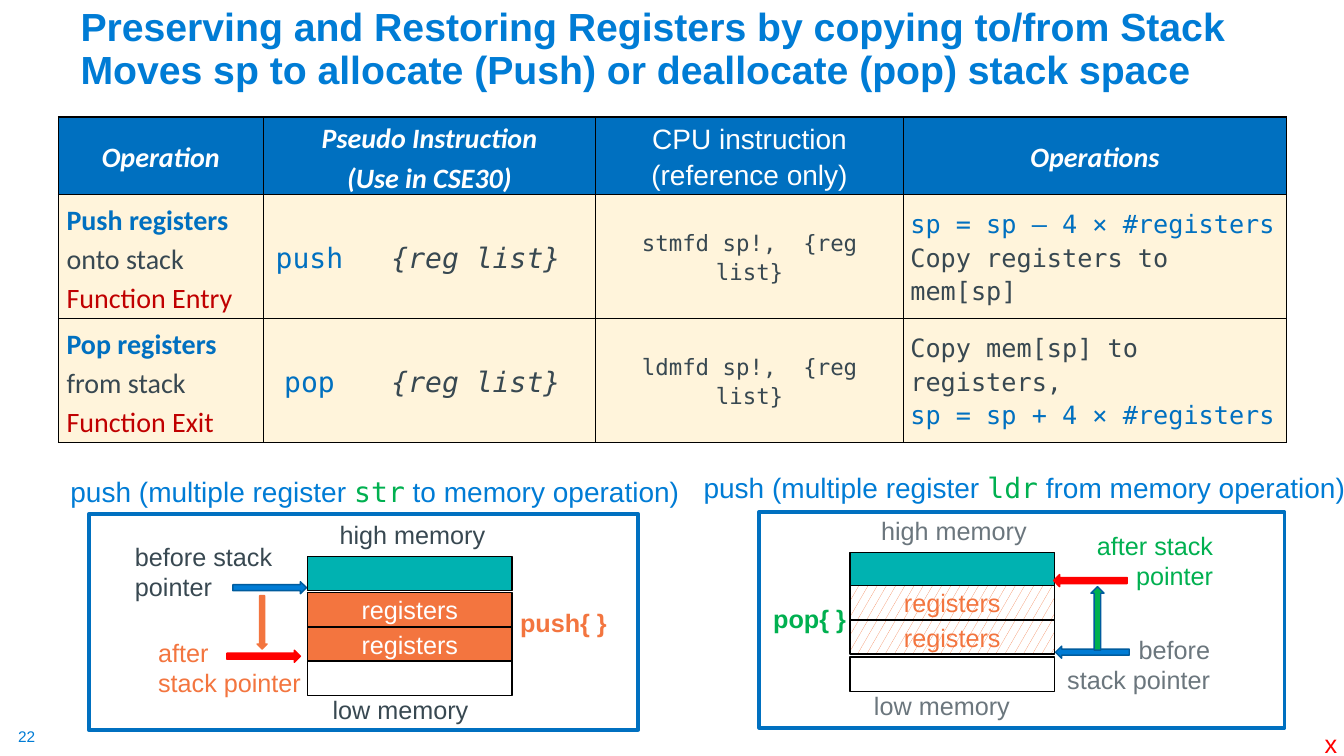
from lxml import etree
from pptx import Presentation
from pptx.dml.color import RGBColor
from pptx.enum.dml import MSO_PATTERN
from pptx.enum.shapes import MSO_SHAPE as SHAPE
from pptx.enum.text import MSO_ANCHOR as ANCHOR, PP_ALIGN as ALIGN
from pptx.oxml.ns import qn
from pptx.util import Inches, Pt

BLUE = RGBColor(0x00, 0x7C, 0xD5)
EDGE_BLUE = RGBColor(0x00, 0x5C, 0x9E)
TABLE_BLUE = RGBColor(0x00, 0x70, 0xC0)
TEAL = RGBColor(0x00, 0xB2, 0xB1)
ORANGE = RGBColor(0xF3, 0x75, 0x3F)
GREEN = RGBColor(0x00, 0xB0, 0x50)
RED = RGBColor(0xFF, 0x00, 0x00)
DARK_RED = RGBColor(0xC0, 0x00, 0x00)
SLATE = RGBColor(0x38, 0x48, 0x51)
GRAY = RGBColor(0x6B, 0x76, 0x7D)
CREAM = RGBColor(0xFF, 0xF4, 0xDB)
WHITE = RGBColor(0xFF, 0xFF, 0xFF)
BLACK = RGBColor(0x00, 0x00, 0x00)
MONO = "DejaVu Sans Mono"

prs = Presentation()
prs.slide_width, prs.slide_height = Inches(13.33), Inches(7.5)
slide = prs.slides.add_slide(prs.slide_layouts[6])


def write(frame, paragraphs, align=ALIGN.LEFT, spacing=None):
    """Fill a frame; a run is (text, size, colour, font, style), style holding b and/or i."""
    for index, runs in enumerate(paragraphs):
        paragraph = frame.paragraphs[0] if index == 0 else frame.add_paragraph()
        paragraph.alignment = align
        if spacing:
            paragraph.line_spacing = spacing
        for text, size, color, font, style in runs:
            for number, line in enumerate(text.split("\n")):
                if number:
                    paragraph.add_line_break()
                if not line:
                    continue
                run = paragraph.add_run()
                run.text = line
                run.font.size, run.font.name = Pt(size), font
                run.font.color.rgb = color
                run.font.bold, run.font.italic = "b" in style, "i" in style


def add_block(kind, box, fill, edge, width=1):
    block = slide.shapes.add_shape(kind, *map(Inches, box))
    block.shadow.inherit = False
    if fill is None:
        block.fill.background()
    else:
        block.fill.solid()
        block.fill.fore_color.rgb = fill
    block.line.color.rgb, block.line.width = edge, Pt(width)
    return block


# Title and page marks
title = slide.shapes.add_textbox(*map(Inches, (0.7, 0.46, 12.51, 0.51))).text_frame
title.word_wrap, title.vertical_anchor = True, ANCHOR.BOTTOM
write(title, [[("Preserving and Restoring Registers by copying to/from Stack \n"
                "Moves sp to allocate (Push) or deallocate (pop) stack space",
                28, BLUE, "Arial", "b")]], spacing=0.9)
page = slide.shapes.add_textbox(*map(Inches, (0.18, 7.21, 0.19, 0.19))).text_frame
page.margin_left = page.margin_right = page.margin_top = page.margin_bottom = 0
write(page, [[("22", 11, BLUE, "Arial", "")]])

# Instruction table
header = [
    [[("Operation", 20, WHITE, "Calibri", "bi")]],
    [[("Pseudo Instruction", 20, WHITE, "Calibri", "bi")],
     [("(Use in CSE30)", 20, WHITE, "Calibri", "bi")]],
    [],
    [[("CPU instruction", 20, WHITE, "Arial", "")],
     [("(reference only)", 20, WHITE, "Arial", "")]],
    [[("Operations", 20, WHITE, "Calibri", "bi")]],
]
table_rows = [header]
for name, place, role, pseudo, machine, effect in [
    ("Push registers ", "onto stack", "Function Entry", "push", "stmfd",
     [("sp = sp – 4 × #registers\n", TABLE_BLUE), ("Copy registers to mem[sp]", SLATE)]),
    ("Pop registers ", "from stack", "Function Exit", "pop", "ldmfd",
     [("Copy mem[sp] to registers, \n", SLATE), ("sp = sp + 4 × #registers", TABLE_BLUE)]),
]:
    table_rows.append([
        [[(name, 20, TABLE_BLUE, "Calibri", "b"), (place, 20, SLATE, "Calibri", "")],
         [(role, 20, DARK_RED, "Calibri", "")]],
        [[(pseudo, 20, TABLE_BLUE, MONO, "")]],
        [[("{reg list}", 20, SLATE, MONO, "i")]],
        [[(f"{machine} sp!,  {{reg list}}", 16, SLATE, MONO, "")]],
        [[(text, 18, color, MONO, "") for text, color in effect]],
    ])

table = slide.shapes.add_table(3, 5, *map(Inches, (0.58, 1.16, 12.18, 3.09))).table
for column, width in zip(table.columns, (2.03, 0.92, 2.38, 3.05, 3.8)):
    column.width = Inches(width)
for row, height in zip(table.rows, (0.65, 1.22, 1.22)):
    row.height = Inches(height)
table.cell(0, 1).merge(table.cell(0, 2))

for r, contents in enumerate(table_rows):
    for c, paragraphs in enumerate(contents):
        cell = table.cell(r, c)
        cell.fill.solid()
        cell.fill.fore_color.rgb = CREAM if r else TABLE_BLUE
        cell.vertical_anchor = ANCHOR.MIDDLE
        cell.margin_top = cell.margin_bottom = Inches(0.04 if r else 0)
        cell.margin_left = cell.margin_right = Inches(0.07)
        if r and c == 0:
            cell.margin_left, cell.margin_right = Inches(0.08), 0
        if r and c == 2:
            cell.margin_left = cell.margin_right = 0
        write(cell.text_frame, paragraphs,
              ALIGN.LEFT if r and c in (0, 4) else ALIGN.CENTER, 1.15)
        properties = cell._tc.get_or_add_tcPr()
        for position, side in enumerate(("lnL", "lnR", "lnT", "lnB")):
            border = etree.Element(qn(f"a:{side}"), w="12700")
            properties.insert(position, border)
            if r and (c, side) in ((1, "lnR"), (2, "lnL")):
                etree.SubElement(border, qn("a:noFill"))
            else:
                paint = etree.SubElement(border, qn("a:solidFill"))
                etree.SubElement(paint, qn("a:srgbClr"), val=str(BLACK))

# Memory diagrams: panel, then stack cells from high to low
for panel, stack_left, tops, popped in [
    ((0.88, 5.1, 5.45, 2.14), 3.05, (5.52, 5.88, 6.22, 6.56), False),
    ((7.53, 5.08, 5.21, 2.14), 8.43, (5.48, 5.81, 6.15, 6.52), True),
]:
    add_block(SHAPE.RECTANGLE, panel, None, TABLE_BLUE, 2.75)
    for top, fill in zip(tops, (TEAL, ORANGE, ORANGE, None)):
        memory = add_block(SHAPE.RECTANGLE, (stack_left, top, 2.03, 0.34), fill, BLACK)
        if fill != ORANGE:
            continue
        if popped:
            memory.fill.patterned()
            memory.fill.pattern = MSO_PATTERN.SMALL_CONFETTI
            memory.fill.fore_color.rgb, memory.fill.back_color.rgb = ORANGE, WHITE
        memory.text_frame.vertical_anchor = ANCHOR.MIDDLE
        write(memory.text_frame, [[("registers", 18, ORANGE if popped else WHITE, "Arial", "")]],
              ALIGN.CENTER)

# Pointer arrows
for kind, box, fill, edge in [
    (SHAPE.RIGHT_ARROW, (2.31, 5.77, 0.73, 0.12), BLUE, EDGE_BLUE),
    (SHAPE.DOWN_ARROW, (2.55, 5.91, 0.1, 0.53), ORANGE, ORANGE),
    (SHAPE.RIGHT_ARROW, (2.25, 6.45, 0.73, 0.12), RED, RED),
    (SHAPE.LEFT_ARROW, (10.47, 6.41, 0.73, 0.12), BLUE, EDGE_BLUE),
    (SHAPE.UP_ARROW, (10.82, 5.82, 0.13, 0.63), GREEN, EDGE_BLUE),
    (SHAPE.LEFT_ARROW, (10.45, 5.7, 0.73, 0.12), RED, RED),
]:
    add_block(kind, box, fill, edge)

# Diagram labels
for lines, box, color, style, align, wrap in [
    (["high memory"], (3.27, 5.1, 1.66, 0.4), SLATE, "", ALIGN.LEFT, False),
    (["low memory"], (3.2, 6.84, 1.56, 0.4), SLATE, "", ALIGN.LEFT, False),
    (["before stack", "pointer"], (1.24, 5.32, 1.81, 0.71), SLATE, "", ALIGN.LEFT, True),
    (["after", "stack pointer"], (1.47, 6.27, 2.34, 0.71), ORANGE, "", ALIGN.LEFT, True),
    (["push{ }"], (5.06, 5.98, 1.14, 0.4), ORANGE, "b", ALIGN.LEFT, True),
    (["high memory"], (8.64, 5.06, 1.66, 0.4), GRAY, "", ALIGN.LEFT, False),
    (["low memory"], (8.57, 6.8, 1.56, 0.4), GRAY, "", ALIGN.LEFT, False),
    (["before", "stack pointer"], (10.38, 6.24, 1.72, 0.71), GRAY, "", ALIGN.RIGHT, True),
    (["after stack pointer"], (10.59, 5.21, 1.54, 0.71), GREEN, "", ALIGN.RIGHT, True),
    (["pop{ }"], (7.57, 5.94, 0.95, 0.4), GREEN, "b", ALIGN.LEFT, True),
    (["x"], (13.04, 7.18, 0.33, 0.4), RED, "", ALIGN.LEFT, False),
]:
    label = slide.shapes.add_textbox(*map(Inches, box)).text_frame
    label.word_wrap = wrap
    write(label, [[(line, 18, color, "Arial", style)] for line in lines], align)

# Diagram captions
for instruction, direction, box in [
    ("str", "to", (0.6, 4.66, 6.24, 0.44)),
    ("ldr", "from", (6.88, 4.62, 6.56, 0.44)),
]:
    caption = slide.shapes.add_textbox(*map(Inches, box)).text_frame
    caption.word_wrap = True
    caption.margin_right = 0
    write(caption, [[("push (multiple register ", 20, BLUE, "Arial", ""),
                     (instruction, 20, GREEN, MONO, ""),
                     (f" {direction} memory operation)", 20, BLUE, "Arial", "")]])

prs.save("out.pptx")
